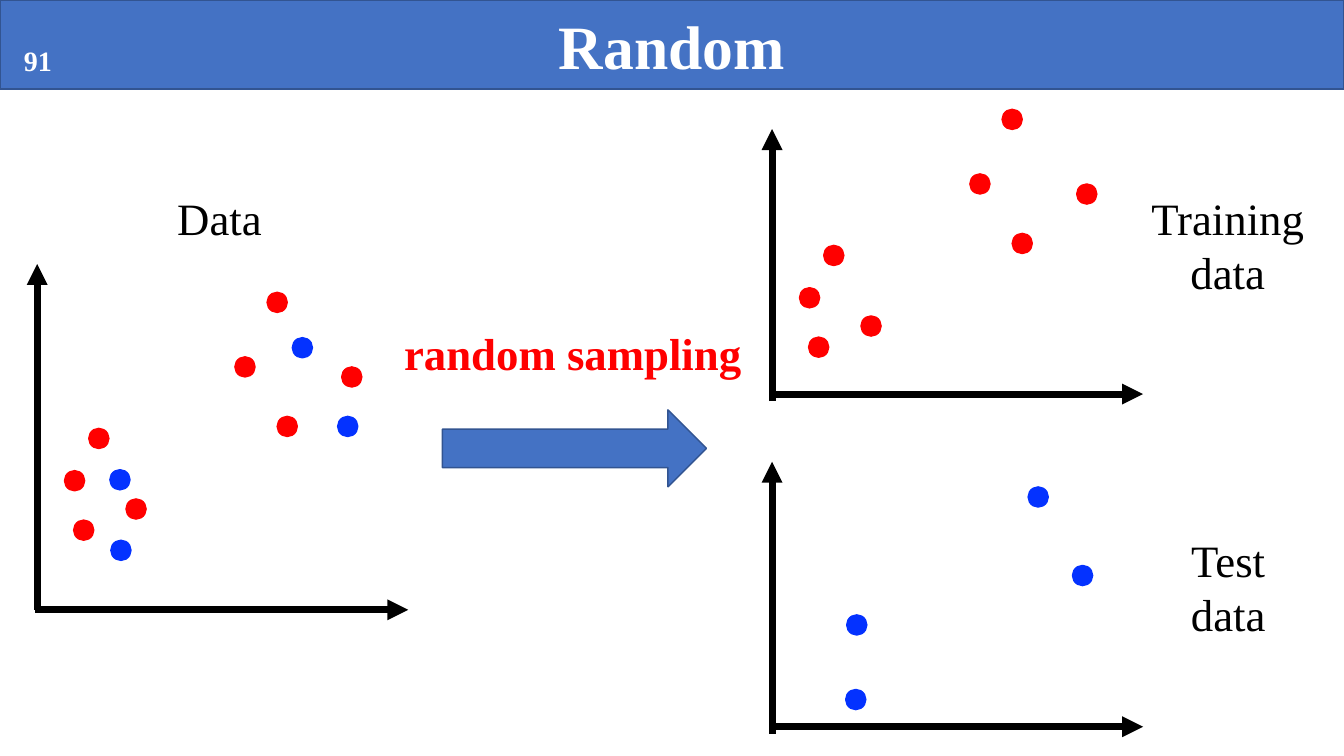
"""Build a slide on random sampling into training and test data."""
from lxml import etree
from pptx import Presentation
from pptx import util as u
from pptx.dml.color import RGBColor
from pptx.enum import shapes, text
from pptx.oxml.ns import qn

RED, BLUE, BLACK, WHITE = "FF0000", "0432FF", "000000", "FFFFFF"
MID, LEFT, FULL = text.PP_ALIGN.CENTER, text.PP_ALIGN.LEFT, text.PP_ALIGN.JUSTIFY
KIND = shapes.MSO_SHAPE


def write(frame, lines, align, size, color, bold):
    for i, line in enumerate(lines):
        para = frame.paragraphs[0] if i == 0 else frame.add_paragraph()
        para.text = line
        para.alignment = align
        form = {"name": "Times New Roman", "size": u.Pt(size), "bold": bold}
        for key, val in form.items():
            setattr(para.font, key, val)
        para.font.color.rgb = RGBColor.from_string(color)


def draw(kind, box, fill, edge):
    shape = slide.shapes.add_shape(kind, *map(u.Pt, box))
    shape.shadow.inherit = False
    shape.fill.solid()
    shape.fill.fore_color.rgb = RGBColor.from_string(fill)
    shape.line.color.rgb = RGBColor.from_string(edge)
    shape.line.width = u.Pt(1)
    return shape


deck = Presentation()
deck.slide_width, deck.slide_height = u.Pt(960), u.Pt(540)
slide = deck.slides.add_slide(deck.slide_layouts[6])

band = draw(KIND.RECTANGLE, (0, 0, 960, 63.5), "4472C4", "325491")
band.text_frame.vertical_anchor = text.MSO_ANCHOR.MIDDLE
write(band.text_frame, ["Random"], MID, 44, WHITE, True)
draw(KIND.RIGHT_ARROW, (316, 292.8, 188.6, 55), "4472C4", "325491")

labels = [
    ((10, 27.4, 34.6, 31.5), ["91"], LEFT, 20, WHITE, True, False),
    ((119.5, 132.5, 77.8, 46), ["Data"], FULL, 32, BLACK, False, True),
    ((792, 132.5, 170, 85), ["Training data"], MID, 32, BLACK, False, True),
    ((810.7, 377.3, 133.2, 85), ["Test", "data"], MID, 32, BLACK, False, True),
    ((281.5, 229, 257.8, 46), ["random sampling"], LEFT, 32, RED, True, False),
]
for box, lines, align, size, color, bold, wrap in labels:
    frame = slide.shapes.add_textbox(*map(u.Pt, box)).text_frame
    frame.word_wrap = wrap
    write(frame, lines, align, size, color, bold)

plots = [(26.6, 188.6, 435.6, 435.6), (551.5, 92.2, 281.5, 286.6),
         (551.5, 329.8, 519.1, 524.2)]
for left, top, base, foot in plots:
    for ends in ((left, foot, left, top), (left - 1.4, base, left + 265, base)):
        axis = slide.shapes.add_connector(
            shapes.MSO_CONNECTOR.STRAIGHT, *map(u.Pt, ends))
        axis.line.color.rgb = RGBColor.from_string(BLACK)
        axis.line.width = u.Pt(5)
        props = axis.line._get_or_add_ln()
        etree.SubElement(props, qn("a:tailEnd"), type="triangle")
        etree.SubElement(axis._element.spPr, qn("a:effectLst"))

train = [(63.4, 306), (46.1, 336.2), (190.8, 208.8), (52.6, 371.5),
         (198, 297.4), (90, 356.4), (244.1, 262.1), (167.8, 254.9)]
held = [(78.5, 335.5), (208.8, 241.2), (241.2, 297.4), (79.2, 385.9)]
test = [(604.8, 439.2), (734.4, 347.8), (766.1, 403.9), (604.1, 492.5)]
moved = [(x + 525, y - 130.7) for x, y in train]
for dots, color in ((train, RED), (held, BLUE), (moved, RED), (test, BLUE)):
    for x, y in dots:
        draw(KIND.OVAL, (x, y, 14.4, 14.4), color, color)

deck.save("out.pptx")
